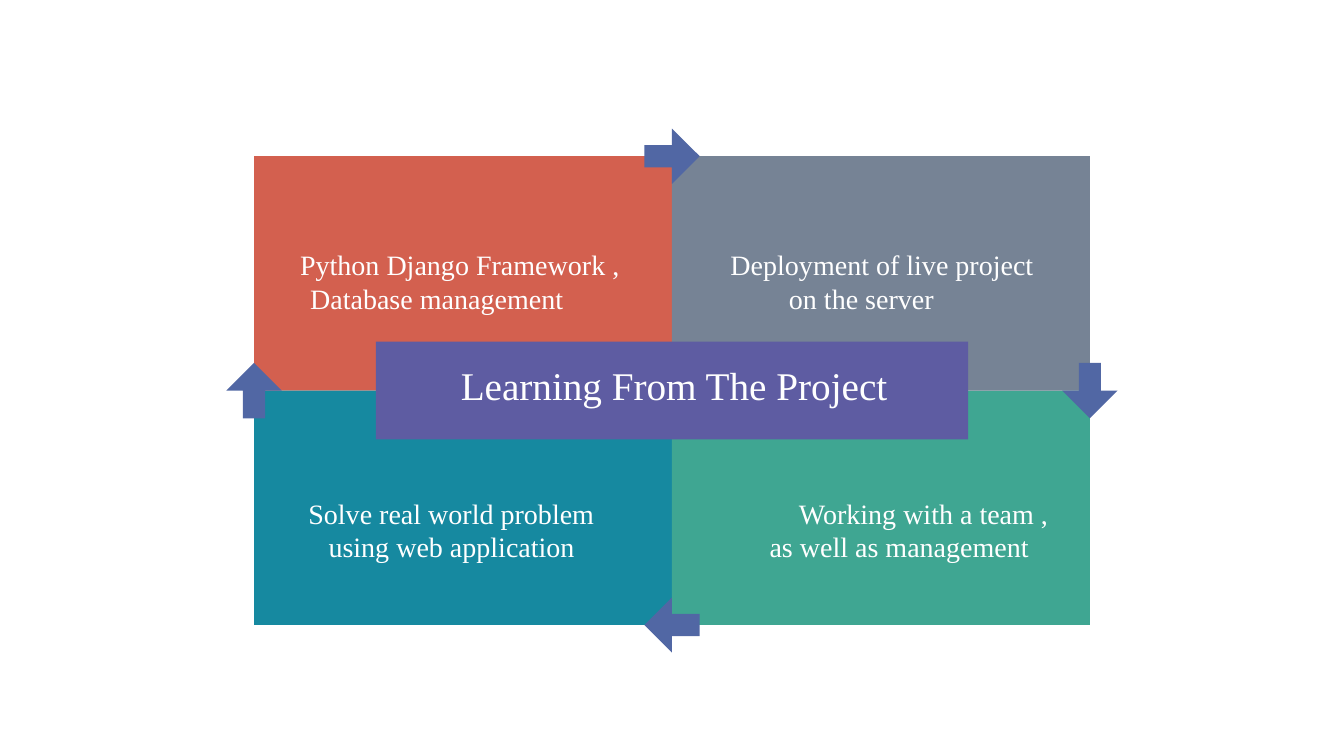
"""Build a four-quadrant cycle slide on what was learned from the project."""
from dataclasses import dataclass

import pptx
import pptx.dml.color
import pptx.enum.shapes
import pptx.enum.text
import pptx.util

MSO_SHAPE = pptx.enum.shapes.MSO_SHAPE
PP_ALIGN = pptx.enum.text.PP_ALIGN


@dataclass(frozen=True)
class Theme:
    font: str = "Times New Roman"
    text: str = "FFFFFF"
    banner: str = "5E5CA2"
    arrow: str = "5167A4"
    lesson_size: int = 20
    title_size: int = 28


@dataclass(frozen=True)
class Grid:
    left: float
    top: float
    column: float
    row: float

    def box(self, col: float, row: float, cols: float, rows: float) -> list[int]:
        inches = (self.left + col * self.column, self.top + row * self.row,
                  cols * self.column, rows * self.row)
        return [pptx.util.Inches(length) for length in inches]

    def centred(self, col: float, row: float, cols: float, rows: float) -> list[int]:
        return self.box(col - cols / 2, row - rows / 2, cols, rows)


@dataclass(frozen=True)
class Lesson:
    col: int
    row: int
    color: str
    inset: float
    drop: float
    width: float
    lines: tuple[tuple[str, float], ...]


@dataclass(frozen=True)
class Arrow:
    col: int
    row: int
    kind: MSO_SHAPE


THEME = Theme()
GRID = Grid(left=2.52, top=1.55, column=4.145, row=2.325)
ARROW_SIDE = 0.55
TITLE = "Learning From The Project"
LESSONS = (
    Lesson(0, 0, "D3604F", 0.11, 0.39, 0.77,
           (("Python Django Framework ,", 0), ("Database management", 0.1))),
    Lesson(0, 1, "1689A0", 0.13, 0.45, 0.7,
           (("Solve real world problem", 0), ("using web application", 0.2))),
    Lesson(1, 1, "3FA692", 0.19, 0.45, 0.74,
           (("Working with a team ,", 0.47), ("as well as management", 0.18))),
    Lesson(1, 0, "768395", 0.14, 0.39, 0.73,
           (("Deployment of live project", 0), ("on the server", 0.58))),
)
ARROWS = (
    Arrow(1, 0, MSO_SHAPE.RIGHT_ARROW),
    Arrow(2, 1, MSO_SHAPE.DOWN_ARROW),
    Arrow(0, 1, MSO_SHAPE.UP_ARROW),
    Arrow(1, 2, MSO_SHAPE.LEFT_ARROW),
)


def add_block(slide, kind: MSO_SHAPE, box: list[int], color: str):
    """Add a filled shape without line or shadow."""
    block = slide.shapes.add_shape(kind, *box)
    block.shadow.inherit = False
    block.fill.solid()
    block.fill.fore_color.rgb = pptx.dml.color.RGBColor.from_string(color)
    block.line.fill.background()
    return block


def clear_frame(frame, wrap: bool) -> None:
    """Anchor a text frame at the top with no margins."""
    frame.margin_left = frame.margin_right = frame.margin_top = frame.margin_bottom = 0
    frame.vertical_anchor = pptx.enum.text.MSO_ANCHOR.TOP
    frame.auto_size = pptx.enum.text.MSO_AUTO_SIZE.NONE
    frame.word_wrap = wrap


def write_line(paragraph, text: str, size: int, align: PP_ALIGN) -> None:
    """Fill a paragraph in the theme's font and colour."""
    paragraph.text = text
    paragraph.alignment = align
    paragraph.line_spacing = 1.0
    paragraph.font.name = THEME.font
    paragraph.font.size = pptx.util.Pt(size)
    paragraph.font.color.rgb = pptx.dml.color.RGBColor.from_string(THEME.text)


def add_lesson_text(slide, lesson: Lesson) -> None:
    """Write the lines of a lesson, each with its own indent."""
    box = GRID.box(lesson.col + lesson.inset, lesson.row + lesson.drop, lesson.width, 0.29)
    frame = slide.shapes.add_textbox(*box).text_frame
    clear_frame(frame, wrap=True)
    for number, (text, indent) in enumerate(lesson.lines):
        paragraph = frame.add_paragraph() if number else frame.paragraphs[0]
        write_line(paragraph, text, THEME.lesson_size, PP_ALIGN.LEFT)
        properties = paragraph._p.get_or_add_pPr()
        properties.set("marL", str(pptx.util.Inches(indent)))
        properties.set("indent", "0")


def place_title(slide) -> None:
    """Put the title placeholder on top of the banner."""
    title = slide.shapes.title
    title.left, title.top, title.width, title.height = GRID.box(0.49, 0.875, 1.03, 0.2)
    clear_frame(title.text_frame, wrap=False)
    write_line(title.text_frame.paragraphs[0], TITLE, THEME.title_size, PP_ALIGN.CENTER)
    slide.shapes._spTree.append(title._element)


def main() -> None:
    """Draw the slide and save it."""
    deck = pptx.Presentation()
    deck.slide_width = pptx.util.Inches(13.33)
    deck.slide_height = pptx.util.Inches(7.5)
    slide = deck.slides.add_slide(deck.slide_layouts.get_by_name("Title Only"))
    for lesson in LESSONS:
        add_block(slide, MSO_SHAPE.RECTANGLE, GRID.box(lesson.col, lesson.row, 1, 1), lesson.color)
    add_block(slide, MSO_SHAPE.RECTANGLE, GRID.centred(1, 1, 1.417, 0.417), THEME.banner)
    place_title(slide)
    for arrow in ARROWS:
        box = GRID.centred(arrow.col, arrow.row, ARROW_SIDE / GRID.column, ARROW_SIDE / GRID.row)
        pointer = add_block(slide, arrow.kind, box, THEME.arrow)
        pointer.adjustments[0] = 0.4
        pointer.adjustments[1] = 0.5
    for lesson in LESSONS:
        add_lesson_text(slide, lesson)
    deck.save("out.pptx")


if __name__ == "__main__":
    main()
